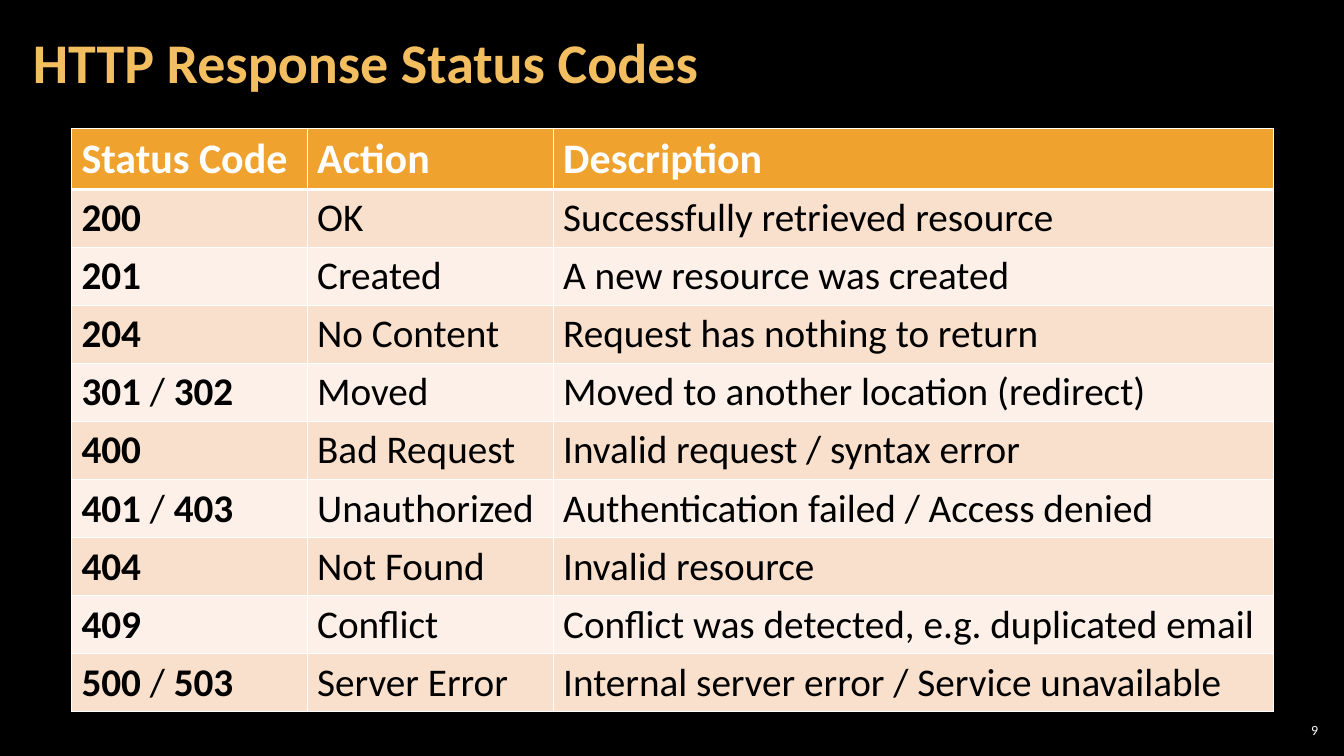
from dataclasses import dataclass

from lxml import etree
from pptx import Presentation
from pptx.dml.color import RGBColor
from pptx.enum.text import MSO_ANCHOR, PP_ALIGN
from pptx.oxml.ns import qn
from pptx.util import Cm, Pt

LEFT, RIGHT = PP_ALIGN.LEFT, PP_ALIGN.RIGHT
MIDDLE = MSO_ANCHOR.MIDDLE

TITLE = "HTTP Response Status Codes"
PAGE = "9"
HEADS = ("Status Code", "Action", "Description")
CODES = [
    ("200", "OK", "Successfully retrieved resource"),
    ("201", "Created", "A new resource was created"),
    ("204", "No Content", "Request has nothing to return"),
    ("301 / 302", "Moved", "Moved to another location (redirect)"),
    ("400", "Bad Request", "Invalid request / syntax error"),
    ("401 / 403", "Unauthorized", "Authentication failed / Access denied"),
    ("404", "Not Found", "Invalid resource"),
    ("409", "Conflict", "Conflict was detected, e.g. duplicated email"),
    ("500 / 503", "Server Error", "Internal server error / Service unavailable"),
]
WIDTHS = (5.94, 6.2, 18.16)
HEAD_H, ROW_H = 1.53, 1.46


@dataclass(frozen=True)
class Theme:
    font: str = "Calibri"
    back: str = "000000"
    title: str = "F3BE60"
    head: str = "F0A22E"
    bands: tuple = ("F9E0CD", "FCF0E8")
    dark: str = "000000"
    light: str = "FFFFFF"
    title_pt: int = 40
    head_pt: int = 30
    cell_pt: int = 28
    page_pt: int = 10
    thin: int = 1
    thick: int = 3


THEME = Theme()


def paint(fill, color):
    fill.solid()
    fill.fore_color.rgb = RGBColor.from_string(color)


def style(para, size, color, bold=None, align=LEFT):
    para.alignment = align
    font = para.font
    font.name, font.size, font.bold = THEME.font, Pt(size), bold
    font.color.rgb = RGBColor.from_string(color)


def set_frame(frame, side, edge):
    frame.margin_left = frame.margin_right = Cm(side)
    frame.margin_top = frame.margin_bottom = Cm(edge)
    frame.vertical_anchor = MIDDLE
    frame.word_wrap = True


def add_edges(cell, top, base):
    props = cell._tc.get_or_add_tcPr()
    edges = {"L": THEME.thin, "R": THEME.thin, "T": top, "B": base}
    for side, width in edges.items():
        line = etree.SubElement(props, qn(f"a:ln{side}"), w=str(Pt(width)))
        fill = etree.SubElement(line, qn("a:solidFill"))
        etree.SubElement(fill, qn("a:srgbClr"), val=THEME.light)


def fill_code(para, text):
    first, slash, last = text.partition("/")
    for part, bold in ((first, True), (slash, False), (last, True)):
        if part:
            run = para.add_run()
            run.text, run.font.bold = part, bold


def add_title(slide):
    title = slide.shapes.title
    title.left, title.top = Cm(0.53), Cm(0.1)
    title.width, title.height = Cm(26.6), Cm(3.07)
    set_frame(title.text_frame, 0.3, 0.1)
    title.text_frame.text = TITLE
    para = title.text_frame.paragraphs[0]
    para.line_spacing = 0.9
    style(para, THEME.title_pt, THEME.title, True)


def add_codes(slide):
    rows = [HEADS, *CODES]
    high = HEAD_H + ROW_H * len(CODES)
    table = slide.shapes.add_table(
        len(rows), len(WIDTHS), Cm(1.8), Cm(3.23), Cm(sum(WIDTHS)), Cm(high)
    ).table
    for col, width in zip(table.columns, WIDTHS):
        col.width = Cm(width)
    for r, texts in enumerate(rows):
        head = r == 0
        table.rows[r].height = Cm(HEAD_H if head else ROW_H)
        top = THEME.thick if r == 1 else THEME.thin
        base = THEME.thick if head else THEME.thin
        for c, text in enumerate(texts):
            cell = table.cell(r, c)
            add_edges(cell, top, base)
            paint(cell.fill, THEME.head if head else THEME.bands[(r - 1) % 2])
            para = cell.text_frame.paragraphs[0]
            if head:
                para.text = text
                style(para, THEME.head_pt, THEME.light, True)
            elif c == 0:
                fill_code(para, text)
                style(para, THEME.cell_pt, THEME.dark)
            else:
                para.text = text
                style(para, THEME.cell_pt, THEME.dark, False)


def add_page(slide):
    box = slide.shapes.add_textbox(Cm(32.13), Cm(18.14), Cm(1.19), Cm(0.53))
    set_frame(box.text_frame, 0.1, 0.1)
    para = box.text_frame.paragraphs[0]
    para.text = PAGE
    style(para, THEME.page_pt, THEME.light, align=RIGHT)


def main():
    deck = Presentation()
    deck.slide_width, deck.slide_height = Cm(33.87), Cm(19.05)
    slide = deck.slides.add_slide(deck.slide_layouts[5])
    paint(slide.background.fill, THEME.back)
    add_title(slide)
    add_codes(slide)
    add_page(slide)
    deck.save("out.pptx")


if __name__ == "__main__":
    main()
